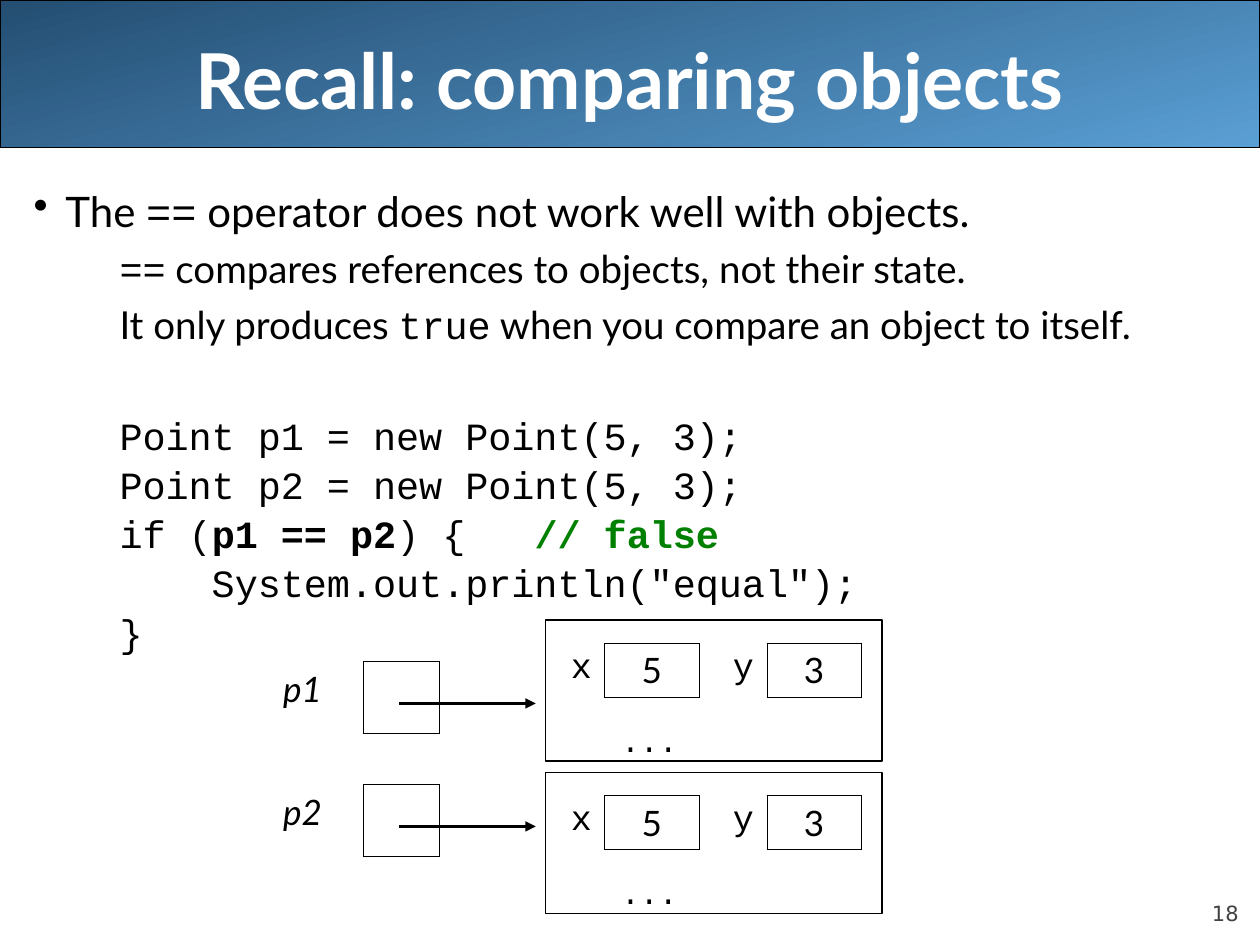
from lxml.etree import SubElement
from pptx import Presentation
from pptx.dml.color import RGBColor
from pptx.enum.shapes import MSO_CONNECTOR as Link, MSO_SHAPE as Shape
from pptx.enum.text import MSO_ANCHOR as Anchor, MSO_AUTO_SIZE as Fit, PP_ALIGN as Align
from pptx.oxml import parse_xml
from pptx.oxml.ns import nsdecls, qn
from pptx.util import Cm, Pt

SANS, MONO = "Lato", "Courier New"
BLACK, WHITE, GREEN = "000000", "FFFFFF", "008000"

TITLE = "Recall: comparing objects"
NUMBER = "18"
# Each line is a list of (text, font) parts
POINT = [("The ", SANS), ("==", MONO), (" operator does not work well with objects.", SANS)]
NOTES = [
    [("==", MONO), (" compares references to objects, not their state.", SANS)],
    [("It only produces ", SANS), ("true", MONO),
     (" when you compare an object to itself.", SANS)],
]
# Each line is a list of (text, bold, colour) parts
CODE = [
    [("Point p1 = new Point(5, 3);", False, BLACK)],
    [("Point p2 = new Point(5, 3);", False, BLACK)],
    [("if (", False, BLACK), ("p1 == p2", True, BLACK), (") {   ", False, BLACK),
     ("// false", True, GREEN)],
    [('    System.out.println("equal");', False, BLACK)],
    [("}", False, BLACK)],
]
REFS = ["p1", "p2"]
# Each cell is (text, font, bordered sides)
FIELDS = [("x", MONO, "R"), ("5", SANS, "LRTB"), (" y", MONO, "LR"), ("3", SANS, "LRTB")]


def color(code):
    return RGBColor.from_string(code)


def style(run, size, font=SANS, code=BLACK, bold=False, italic=False):
    face = run.font
    face.size, face.name, face.bold, face.italic = Pt(size), font, bold, italic
    face.color.rgb = color(code)


def outline(line, width):
    line.color.rgb = color(BLACK)
    line.width = Pt(width)


def indent(para, left, first=0):
    props = para._p.get_or_add_pPr()
    props.set("marL", str(Cm(left)))
    props.set("indent", str(Cm(first)))
    return props


def border(cell, sides):
    props = cell._tc.get_or_add_tcPr()
    for i, side in enumerate("LRTB"):
        paint = (f'<a:solidFill><a:srgbClr val="{BLACK}"/></a:solidFill>'
                 if side in sides else "<a:noFill/>")
        props.insert(i, parse_xml(
            f'<a:ln{side} {nsdecls("a")} w="{Pt(0.5)}">{paint}</a:ln{side}>'))


def add_row(slide, left, top, widths, height, cells, align, italic=False):
    """Draw a one-row table of (text, font, bordered sides) cells."""
    frame = slide.shapes.add_table(1, len(cells), Cm(left), Cm(top),
                                   Cm(sum(widths)), Cm(height))
    table = frame.table
    table.first_row = table.horz_banding = False
    for i, (text, font, sides) in enumerate(cells):
        table.columns[i].width = Cm(widths[i])
        cell = table.cell(0, i)
        cell.fill.background()
        border(cell, sides)
        para = cell.text_frame.paragraphs[0]
        para.text = text
        para.alignment = align
        for run in para.runs:
            style(run, 20, font, italic=italic)


def add_banner(slide):
    bar = slide.shapes.add_shape(Shape.ROUNDED_RECTANGLE, 0, 0, Cm(25.4), Cm(2.97))
    bar.adjustments[0] = 0
    bar.shadow.inherit = False
    bar.fill.gradient()
    bar.fill.gradient_angle = 105
    for stop, code in zip(bar.fill.gradient_stops, ("5A9FD4", "244E72")):
        stop.color.rgb = color(code)
    outline(bar.line, 0.75)
    # The title placeholder comes first, so the bar goes behind it
    slide.shapes._spTree.insert(2, bar._element)


def add_title(slide):
    title = slide.shapes.title
    title.left, title.top, title.width, title.height = Cm(1.27), 0, Cm(22.86), Cm(3.18)
    frame = title.text_frame
    frame.text = TITLE
    frame.auto_size, frame.vertical_anchor = Fit.NONE, Anchor.MIDDLE
    frame.paragraphs[0].alignment = Align.CENTER
    style(frame.paragraphs[0].runs[0], 44, code=WHITE, bold=True)


def add_body(slide):
    box = slide.shapes.add_textbox(Cm(0.43), Cm(3.61), Cm(24.97), Cm(14.4))
    frame = box.text_frame
    frame.word_wrap = True

    def add_line(parts, size, para=None):
        para = para or frame.add_paragraph()
        for text, font, bold, code in parts:
            run = para.add_run()
            run.text = text
            style(run, size, font, code, bold)
        return para

    para = add_line([(t, f, False, BLACK) for t, f in POINT], 24, frame.paragraphs[0])
    SubElement(indent(para, 0.64, -0.64), qn("a:buChar")).set("char", "•")
    for note in NOTES:
        para = add_line([(t, f, False, BLACK) for t, f in note], 22)
        para.space_before = Pt(5.5)
        indent(para, 1.73)
    for i, line in enumerate(CODE):
        para = add_line([(t, MONO, b, c) for t, b, c in line], 22)
        para.space_before = Pt(7 if i else 42)
        para.line_spacing = 0.8
        indent(para, 1.73)


def add_arrow(slide, top):
    arrow = slide.shapes.add_connector(Link.STRAIGHT, Cm(8.05), Cm(top), Cm(10.8), Cm(top))
    outline(arrow.line, 1.5)
    SubElement(arrow.line._get_or_add_ln(), qn("a:tailEnd")).set("type", "triangle")
    SubElement(arrow._element.spPr, qn("a:effectLst"))


def add_object(slide, top):
    box = slide.shapes.add_shape(Shape.RECTANGLE, Cm(11), Cm(top), Cm(6.78), Cm(2.84))
    box.shadow.inherit = False
    box.fill.background()
    outline(box.line, 0.75)
    frame = box.text_frame
    frame.text = "..."
    frame.vertical_anchor, frame.margin_bottom = Anchor.BOTTOM, Cm(0.05)
    para = frame.paragraphs[0]
    para.alignment = Align.LEFT
    indent(para, 1.27)
    style(para.runs[0], 18, MONO)
    add_row(slide, 11.25, top + 0.46, [0.94, 1.9, 1.37, 1.9], 1.1, FIELDS, Align.CENTER)


def add_number(slide):
    box = slide.shapes.add_textbox(Cm(22.86), Cm(17.65), Cm(2.11), Cm(1.02))
    frame = box.text_frame
    frame.text = NUMBER
    frame.word_wrap, frame.vertical_anchor = True, Anchor.BOTTOM
    frame.margin_left = frame.margin_right = frame.margin_top = frame.margin_bottom = 0
    frame.paragraphs[0].alignment = Align.RIGHT
    style(frame.paragraphs[0].runs[0], 12, "DejaVu Sans", "424242")


def main():
    deck = Presentation()
    deck.slide_width, deck.slide_height = Cm(25.4), Cm(19.05)
    slide = deck.slides.add_slide(deck.slide_layouts[5])
    add_banner(slide)
    add_title(slide)
    add_body(slide)
    for i, name in enumerate(REFS):
        add_object(slide, 12.5 + 3.07 * i)
        top = 13.34 + 2.48 * i
        add_row(slide, 4.88, top, [2.44, 1.54], 1.45,
                [(name, SANS, "R"), ("", SANS, "LRTB")], Align.CENTER, italic=True)
        add_arrow(slide, top + 0.84)
    add_number(slide)
    deck.save("out.pptx")


if __name__ == "__main__":
    main()
